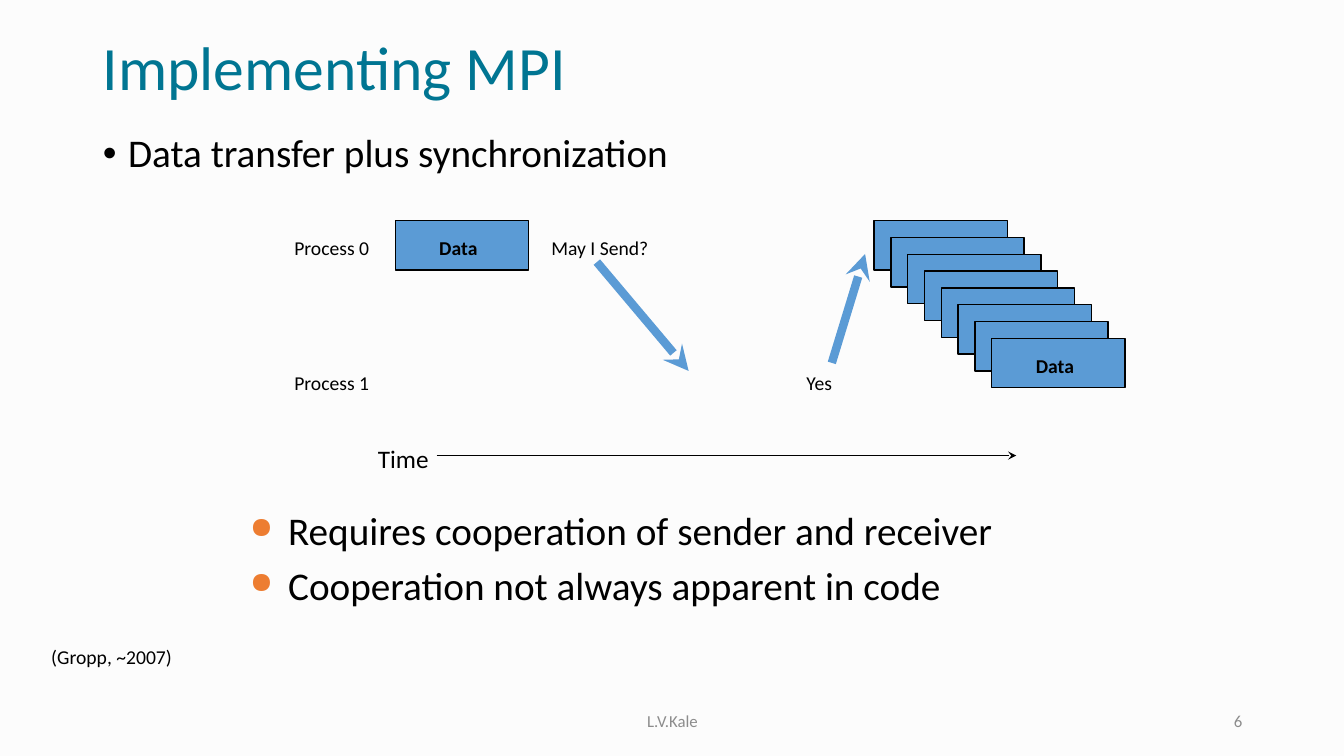
"""Builds the slide that explains how MPI transfers and synchronizes data."""
import dataclasses

import lxml.etree
import pptx
import pptx.dml.color
import pptx.enum.shapes
import pptx.enum.text
import pptx.oxml.ns
import pptx.util

Inches = pptx.util.Inches
Align = pptx.enum.text.PP_ALIGN
Anchor = pptx.enum.text.MSO_ANCHOR
AutoSize = pptx.enum.text.MSO_AUTO_SIZE


@dataclasses.dataclass(frozen=True)
class Theme:
    """Holds the font, colours and type sizes."""
    font: str = "Calibri"
    background: str = "FCFCFC"
    title: str = "007592"
    ink: str = "000000"
    muted: str = "8C8C8C"
    block: str = "5B9BD5"
    bullet: str = "ED7D31"
    title_size: int = 44
    body_size: int = 28
    axis_size: int = 18
    label_size: int = 14
    footer_size: int = 12


def color(value):
    """Return an RGB colour from a hex string."""
    return pptx.dml.color.RGBColor.from_string(value)


def apply(target, values):
    """Set attributes of the target from a dict."""
    for name, value in values.items():
        setattr(target, name, value)


def add_element(parent, tag, **attributes):
    """Append a drawing element to the parent."""
    return lxml.etree.SubElement(parent, pptx.oxml.ns.qn(tag), attributes)


class SlideBuilder:
    """Draws styled elements on the current slide."""

    def __init__(self, deck, theme):
        """Add a title and content slide to the deck."""
        self.theme = theme
        self.slide = deck.slides.add_slide(deck.slide_layouts[1])
        fill = self.slide.background.fill
        fill.solid()
        fill.fore_color.rgb = color(theme.background)

    def place(self, shape, area):
        """Move a shape to an area given in inches."""
        names = ("left", "top", "width", "height")
        apply(shape, dict(zip(names, map(Inches, area))))

    def set_text(self, shape, lines, size, ink=None, bold=False, frame=None, layout=None):
        """Fill a shape with formatted paragraphs and return them."""
        text_frame = shape.text_frame
        text_frame.text = "\n".join(lines)
        apply(text_frame, {"word_wrap": True, "auto_size": AutoSize.NONE, **(frame or {})})
        for para in text_frame.paragraphs:
            apply(para, {"alignment": Align.LEFT, **(layout or {})})
            for span in para.runs:
                apply(span.font, {"name": self.theme.font, "size": pptx.util.Pt(size), "bold": bold})
                span.font.color.rgb = color(ink or self.theme.ink)
        return text_frame.paragraphs

    def bullet(self, para, indent, symbol, ink=None, percent=100):
        """Give a paragraph a hanging bullet."""
        properties = para._p.get_or_add_pPr()
        properties.set("marL", str(Inches(indent)))
        properties.set("indent", str(-Inches(indent)))
        bullet_color = add_element(properties, "a:buClr")
        add_element(bullet_color, "a:srgbClr", val=ink or self.theme.ink)
        add_element(properties, "a:buSzPct", val=str(percent * 1000))
        add_element(properties, "a:buChar", char=symbol)

    def title(self, area, text):
        """Fill the title placeholder."""
        shape = self.slide.shapes.title
        self.place(shape, area)
        self.set_text(shape, [text], self.theme.title_size, self.theme.title,
                      frame={"vertical_anchor": Anchor.MIDDLE}, layout={"line_spacing": 0.9})

    def body(self, area, lines):
        """Fill the body placeholder with bullets."""
        shape = self.slide.placeholders[1]
        self.place(shape, area)
        layout = {"line_spacing": 0.9, "space_before": pptx.util.Pt(10)}
        for para in self.set_text(shape, lines, self.theme.body_size, layout=layout):
            self.bullet(para, 0.25, "•")

    def text(self, area, lines, size, **style):
        """Add a text box and return its paragraphs."""
        box = self.slide.shapes.add_textbox(*map(Inches, area))
        return self.set_text(box, lines, size, **style)

    def conclusions(self, area, lines):
        """Add the list with coloured bullets."""
        layout = {"space_before": pptx.util.Pt(self.theme.body_size * 0.2)}
        for para in self.text(area, lines, self.theme.body_size, layout=layout):
            self.bullet(para, 0.38, "●", self.theme.bullet, 75)

    def label(self, area, text, size):
        """Add a one-line diagram label."""
        self.text(area, [text], size, frame={"word_wrap": False})

    def footer(self, area, text, alignment):
        """Add muted footer text."""
        self.text(area, [text], self.theme.footer_size, ink=self.theme.muted,
                  frame={"vertical_anchor": Anchor.MIDDLE}, layout={"alignment": alignment})

    def data_block(self, left, top, text=""):
        """Add one outlined data block."""
        block = self.slide.shapes.add_shape(
            pptx.enum.shapes.MSO_SHAPE.RECTANGLE, *map(Inches, (left, top, 1.32, 0.49)))
        block.shadow.inherit = False
        block.fill.solid()
        block.fill.fore_color.rgb = color(self.theme.block)
        block.line.color.rgb = color(self.theme.ink)
        block.line.width = pptx.util.Pt(1)
        if text:
            frame = {"vertical_anchor": Anchor.MIDDLE, "margin_left": Inches(0.03),
                     "margin_right": Inches(0.1), "margin_top": Inches(0.05), "margin_bottom": 0}
            self.set_text(block, [text], self.theme.label_size, bold=True,
                          frame=frame, layout={"alignment": Align.CENTER})

    def arrow(self, start, end, ink, width):
        """Add a straight arrow with a stealth head."""
        line = self.slide.shapes.add_connector(
            pptx.enum.shapes.MSO_CONNECTOR.STRAIGHT, *map(Inches, start + end))
        line.line.color.rgb = color(ink)
        line.line.width = pptx.util.Pt(width)
        add_element(line.line._get_or_add_ln(), "a:tailEnd", type="stealth")
        add_element(line._element.spPr, "a:effectLst")


def main():
    """Build and save the slide."""
    deck = pptx.Presentation()
    apply(deck, {"slide_width": Inches(13.33), "slide_height": Inches(7.5)})
    theme = Theme()
    page = SlideBuilder(deck, theme)

    page.title((0.92, 0.28, 11.5, 0.84), "Implementing MPI")
    page.body((0.92, 1.28, 11.5, 5.48), ["Data transfer plus synchronization"])
    page.footer((4.42, 6.95, 4.5, 0.4), "L.V.Kale", Align.CENTER)
    page.footer((9.42, 6.95, 3, 0.4), "6", Align.RIGHT)
    page.conclusions((2.38, 4.97, 8.58, 1.24), [
        "Requires cooperation of sender and receiver",
        "Cooperation not always apparent in code",
    ])

    sender_top, receiver_top = 2.29, 3.63
    for left, top, width, text in (
        (2.82, sender_top, 0.95, "Process 0"),
        (2.82, receiver_top, 0.95, "Process 1"),
        (5.37, sender_top, 1.17, "May I Send?"),
        (7.9, receiver_top, 0.46, "Yes"),
    ):
        page.label((left, top, width, 0.34), text, theme.label_size)
    page.arrow((5.92, 2.6), (6.83, 3.68), theme.block, 6)
    page.arrow((8.25, 3.6), (8.58, 2.52), theme.block, 6)

    block_top, block_count = 2.19, 8
    page.data_block(3.92, block_top, "Data")
    for index in range(block_count):
        offset = index / 6
        text = "Data" if index == block_count - 1 else ""
        page.data_block(8.67 + offset, block_top + offset, text)

    page.label((3.65, 4.35, 0.71, 0.4), "Time", theme.axis_size)
    page.arrow((4.33, 4.52), (10.08, 4.52), theme.ink, 1)
    page.text((0.41, 6.35, 6.95, 0.34), ["(Gropp, ~2007)"], theme.label_size)

    deck.save("out.pptx")


if __name__ == "__main__":
    main()
